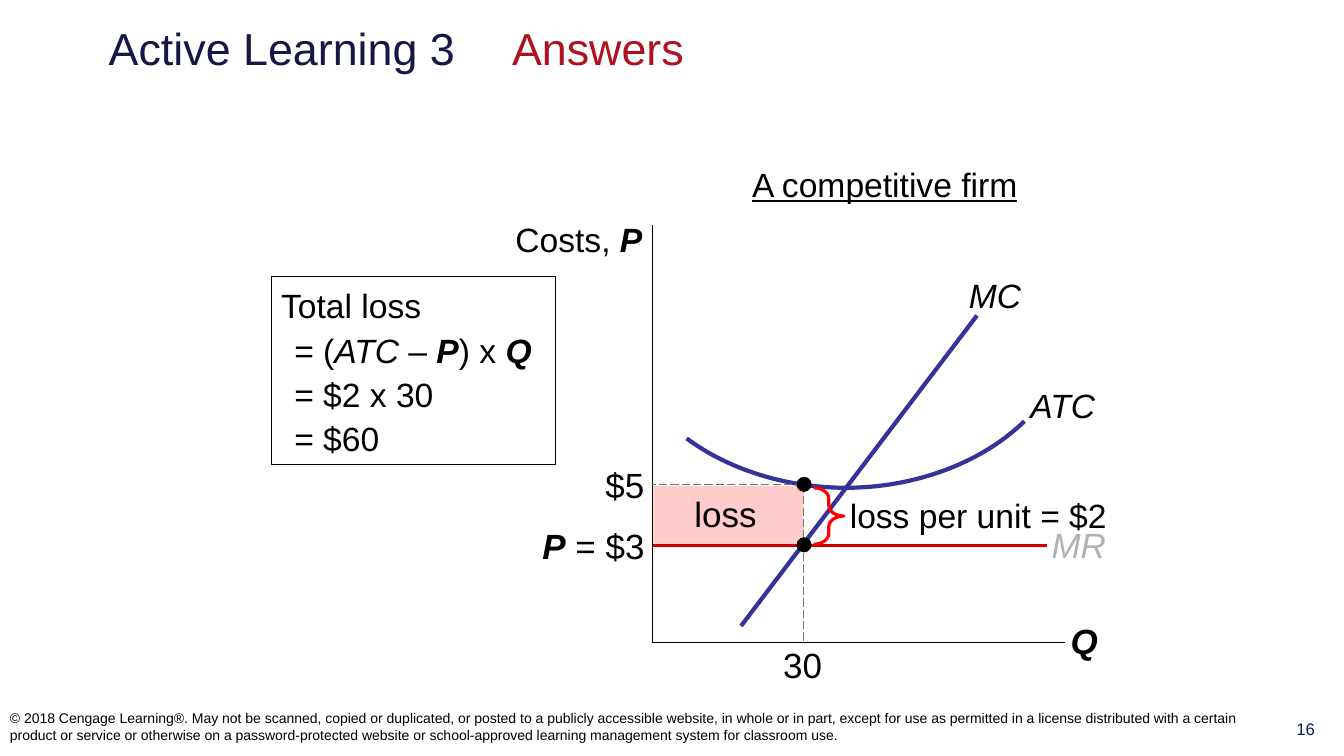
import pptx
import pptx.dml.color
import pptx.enum.dml
import pptx.enum.shapes
import pptx.enum.text
import pptx.oxml.ns
import pptx.util
import lxml.etree

PX = 9144  # 100 px to the inch
ALIGN = pptx.enum.text.PP_ALIGN
ANCHOR = pptx.enum.text.MSO_ANCHOR
SHAPE = pptx.enum.shapes.MSO_SHAPE
rgb = pptx.dml.color.RGBColor.from_string

deck = pptx.Presentation()
deck.slide_width, deck.slide_height = 1333 * PX, 750 * PX
slide = deck.slides.add_slide(deck.slide_layouts[6])
shapes = slide.shapes


def write(box, runs, size, align=ALIGN.LEFT, inset=True, anchor=ANCHOR.TOP):
    """Fill a box with (text, style, colour) runs; styles are letters b, i, u."""
    frame = box.text_frame
    frame.word_wrap = True
    frame.vertical_anchor = anchor
    if not inset:
        frame.margin_left = frame.margin_right = 0
        frame.margin_top = frame.margin_bottom = 0
    paragraph = frame.paragraphs[0]
    paragraph.alignment = align
    for text, style, color in runs:
        if text == "\v":
            paragraph.add_line_break()
            continue
        run = paragraph.add_run()
        run.text = text
        run.font.name = "Arial"
        run.font.size = pptx.util.Pt(size)
        run.font.bold = "b" in style
        run.font.italic = "i" in style
        run.font.underline = "u" in style
        run.font.color.rgb = rgb(color)
    return paragraph


def draw_line(x1, y1, x2, y2, color, width, dashed=False):
    line = shapes.add_connector(pptx.enum.shapes.MSO_CONNECTOR.STRAIGHT,
                                x1 * PX, y1 * PX, x2 * PX, y2 * PX)
    line.line.color.rgb = rgb(color)
    line.line.width = pptx.util.Pt(width)
    if dashed:
        line.line.dash_style = pptx.enum.dml.MSO_LINE.LONG_DASH
    properties = line._element.spPr
    lxml.etree.SubElement(properties, pptx.oxml.ns.qn("a:effectLst"))


BLACK, BLUE, GRAY = "000000", "333399", "777777"
axis_x, axis_y = 647, 637
quantity_x, cost_y, price_y = 797, 481, 541

# Title
title = shapes.add_textbox(98 * PX, 11 * PX, 1138 * PX, 72 * PX)
write(title, [("Active Learning 3\t\t", "", "171745"), ("Answers", "", "AE1221")],
      32, anchor=ANCHOR.MIDDLE)

# Loss area
loss_area = shapes.add_shape(SHAPE.RECTANGLE, 648 * PX, 482 * PX, 149 * PX, 58 * PX)
loss_area.shadow.inherit = False
loss_area.fill.solid()
loss_area.fill.fore_color.rgb = rgb("FFCCCC")
loss_area.line.fill.background()

# Price line, axes and marginal cost
draw_line(axis_x, price_y, 1038, price_y, "CC0000", 2.25)
draw_line(axis_x, 223, axis_x, axis_y, BLACK, 0.75)
draw_line(axis_x, axis_y, 1056, axis_y, BLACK, 0.75)
draw_line(735, 621, 969, 313, BLUE, 3)

# Average total cost: two cubic arcs traced as one open outline
atc_arcs = [((1016, 418), (974, 459), (908, 484), (839, 484)),
            ((839, 484), (780, 484), (723, 466), (681, 435))]
STEPS = 24
atc_points = []
for arc in atc_arcs:
    for step in range(1, STEPS + 1):
        t = step / STEPS
        weights = ((1 - t) ** 3, 3 * t * (1 - t) ** 2, 3 * t * t * (1 - t), t ** 3)
        atc_points.append(tuple(
            round(PX * sum(w * point[axis] for w, point in zip(weights, arc)))
            for axis in (0, 1)))
atc_start = atc_arcs[0][0]
atc_builder = shapes.build_freeform(atc_start[0] * PX, atc_start[1] * PX, scale=1.0)
atc_builder.add_line_segments(atc_points, close=False)
atc_curve = atc_builder.convert_to_shape()
atc_curve.shadow.inherit = False
atc_curve.fill.background()
atc_curve.line.color.rgb = rgb(BLUE)
atc_curve.line.width = pptx.util.Pt(3)

# Dashed guides
draw_line(quantity_x, cost_y, axis_x, cost_y, GRAY, 0.75, dashed=True)
draw_line(quantity_x, cost_y, quantity_x, 638, GRAY, 0.75, dashed=True)

# Brace for the loss per unit
brace = shapes.add_shape(SHAPE.RIGHT_BRACE, 807 * PX, 484 * PX, 30 * PX, 56 * PX)
brace.shadow.inherit = False
brace.adjustments[0] = 0.35
brace.fill.background()
brace.line.color.rgb = rgb("FF0000")
brace.line.width = pptx.util.Pt(2.25)

# Points on the cost and price lines
for point_y in (cost_y, price_y):
    point = shapes.add_shape(SHAPE.OVAL, (quantity_x - 7) * PX, (point_y - 8) * PX,
                             15 * PX, 15 * PX)
    point.shadow.inherit = False
    point.fill.solid()
    point.fill.fore_color.rgb = rgb(BLACK)
    point.line.fill.background()

# Graph labels: position, runs, size, alignment, inset
labels = [
    ((667, 484, 105, 52), [("loss", "", BLACK)], 25, ALIGN.CENTER, True),
    ((1043, 519, 66, 42), [("MR", "i", "B2B2B2")], 25, ALIGN.LEFT, False),
    ((505, 515, 144, 52), [("P", "bi", BLACK), (" = $3", "", BLACK)],
     25, ALIGN.RIGHT, True),
    ((1052, 610, 59, 52), [("Q", "bi", BLACK)], 25, ALIGN.LEFT, True),
    ((464, 212, 183, 50), [("Costs, ", "", BLACK), ("P", "bi", BLACK)],
     24, ALIGN.RIGHT, True),
    ((961, 273, 66, 40), [("MC", "i", BLACK)], 24, ALIGN.LEFT, False),
    ((1022, 382, 81, 40), [("ATC", "i", BLACK)], 24, ALIGN.LEFT, False),
    ((833, 486, 279, 50), [("loss per unit = $2", "", BLACK)], 24, ALIGN.LEFT, True),
    ((588, 460, 51, 42), [("$5", "", BLACK)], 25, ALIGN.RIGHT, False),
    ((773, 638, 46, 42), [("30", "", BLACK)], 25, ALIGN.CENTER, False),
]
for place, runs, size, align, inset in labels:
    label = shapes.add_textbox(*(length * PX for length in place))
    write(label, runs, size, align, inset)

# Graph heading
heading = shapes.add_textbox(706 * PX, 156 * PX, 343 * PX, 53 * PX)
write(heading, [("A competitive firm", "u", BLACK)], 24, ALIGN.CENTER).line_spacing = 1.05

# Total loss calculation
calculation = shapes.add_shape(SHAPE.RECTANGLE, 269 * PX, 274 * PX, 282 * PX, 187 * PX)
calculation.shadow.inherit = False
calculation.fill.solid()
calculation.fill.fore_color.rgb = rgb("FFFFFF")
calculation.line.color.rgb = rgb(BLACK)
calculation.line.width = pptx.util.Pt(0.75)
steps = write(calculation, [
    ("Total loss", "", BLACK), ("\v", "", BLACK),
    ("= (", "", BLACK), ("ATC", "i", BLACK), (" – ", "", BLACK), ("P", "bi", BLACK),
    (") x ", "", BLACK), ("Q", "bi", BLACK), ("\v", "", BLACK),
    ("= $2 x 30", "", BLACK), ("\v", "", BLACK), ("= $60", "", BLACK)], 24)
steps.line_spacing = 1.1
hanging = steps._p.get_or_add_pPr()
hanging.set("marL", str(13 * PX))
hanging.set("indent", str(-13 * PX))

# Footer
copyright_line = shapes.add_textbox(0, 692 * PX, 1255 * PX, 58 * PX)
write(copyright_line, [(
    "© 2018 Cengage Learning®. May not be scanned, copied or duplicated, or posted to a "
    "publicly accessible website, in whole or in part, except for use as permitted in a "
    "license distributed with a certain product or service or otherwise on a "
    "password-protected website or school-approved learning management system for "
    "classroom use.", "", BLACK)], 10, anchor=ANCHOR.MIDDLE)
page_number = shapes.add_textbox(1257 * PX, 708 * PX, 76 * PX, 41 * PX)
write(page_number, [("16", "", "002060")], 12, ALIGN.CENTER)

deck.save("out.pptx")
